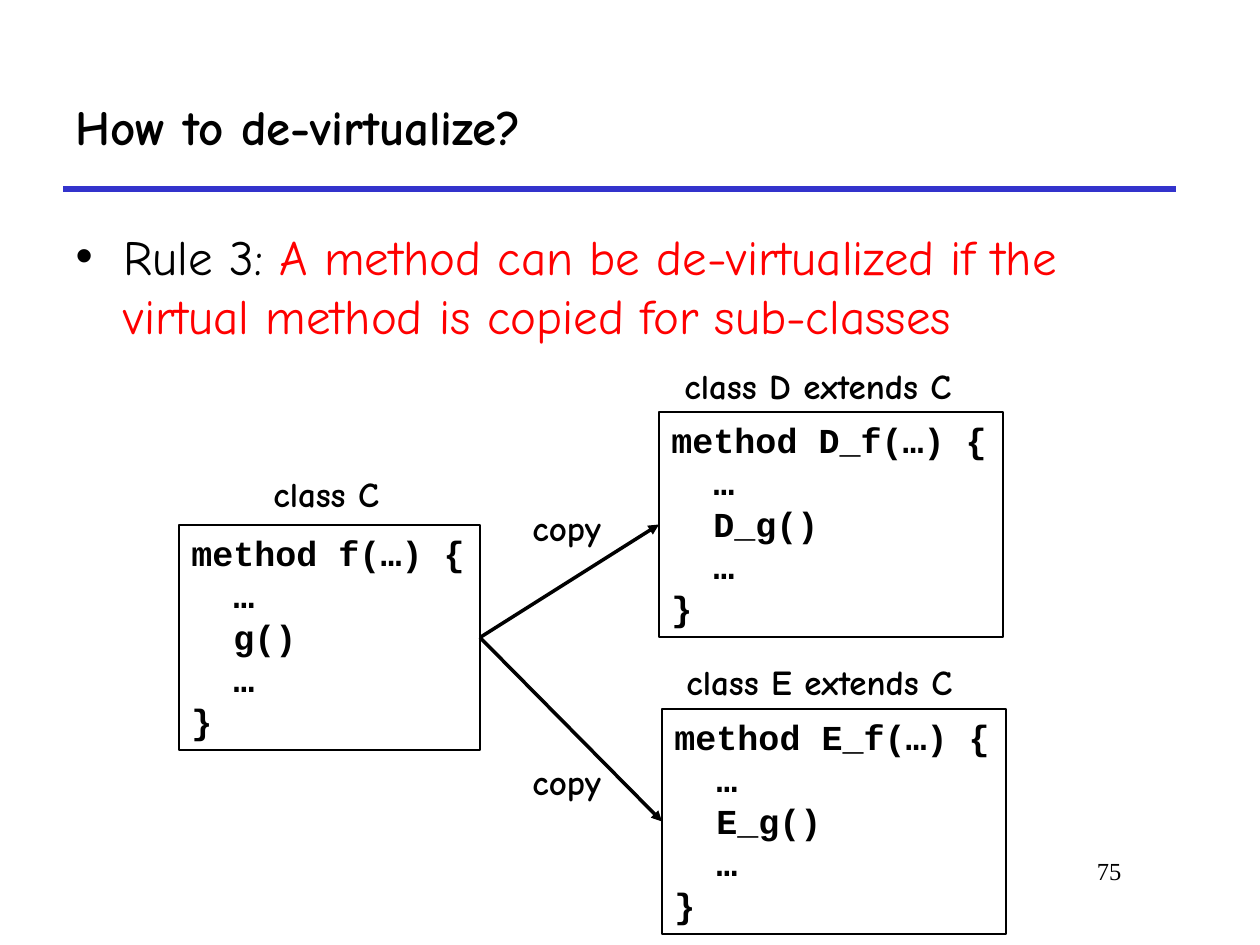
"""Builds the slide on de-virtualizing methods by copying them into sub-classes."""
from lxml.etree import SubElement
from pptx import Presentation
from pptx.dml.color import RGBColor
from pptx.enum.shapes import MSO_CONNECTOR as Connector, MSO_SHAPE as Shape
from pptx.enum.text import MSO_ANCHOR as Anchor, MSO_AUTO_SIZE as AutoSize, PP_ALIGN as Align
from pptx.oxml.ns import qn
from pptx.util import Emu, Pt

BLACK = RGBColor(0, 0, 0)
RED = RGBColor(255, 0, 0)
BLUE = RGBColor(0x33, 0x33, 0xCC)
HAND, CODE, SERIF = "Comic Neue", "Courier New", "Times New Roman"

TITLE = "How to de-virtualize?"
RULE = [
    ("Rule 3: ", BLACK),
    ("A method can be de-virtualized if the virtual method is copied for sub-classes", RED),
]
CLASSES = [
    ("class C", "", (179, 525, 301, 225), (261, 466, 137, 55)),
    ("class D extends C", "D_", (659, 412, 344, 225), (672, 358, 317, 55)),
    ("class E extends C", "E_", (662, 709, 344, 225), (674, 654, 314, 55)),
]
COPY_LABELS = [(520, 500, 100, 55), (520, 754, 100, 55)]
PAGE_NUMBER = "75"
CODE_INDENT = 42
BULLET_INDENT = 48


def px(length):
    return Emu(round(length * 914400 / 126))


def place(shape, area):
    shape.left, shape.top, shape.width, shape.height = map(px, area)


def add_run(para, text, size, font, color=BLACK, bold=False):
    span = para.add_run()
    span.text = text
    span.font.size, span.font.name, span.font.bold = Pt(size), font, bold
    span.font.color.rgb = color


def add_label(page, text, area, size=20, font=HAND, bold=True, align=Align.LEFT):
    box = page.shapes.add_textbox(*map(px, area))
    box.text_frame.word_wrap = False
    para = box.text_frame.paragraphs[0]
    para.alignment = align
    add_run(para, text, size, font, bold=bold)


def add_code_box(page, prefix, area):
    box = page.shapes.add_shape(Shape.RECTANGLE, *map(px, area))
    box.shadow.inherit = False
    box.fill.background()
    box.line.color.rgb = BLACK
    box.line.width = Pt(1)
    frame = box.text_frame
    frame.word_wrap = False
    frame.vertical_anchor = Anchor.TOP
    lines = [(f"method {prefix}f(…) {{", 0), ("…", 1), (f"{prefix}g()", 1), ("…", 1), ("}", 0)]
    for number, (text, level) in enumerate(lines):
        para = frame.add_paragraph() if number else frame.paragraphs[0]
        para.alignment = Align.LEFT
        para._p.get_or_add_pPr().set("marL", str(px(level * CODE_INDENT)))
        add_run(para, text, 20, CODE, bold=True)
    return box


def add_line(page, start, end, color, width):
    line = page.shapes.add_connector(Connector.STRAIGHT, *map(px, start + end))
    line.line.color.rgb = color
    line.line.width = Pt(width)
    SubElement(line._element.spPr, qn("a:effectLst"))
    return line


def add_copy_arrow(page, source, target):
    arrow = add_line(page, (0, 0), (0, 0), BLACK, 2)
    arrow.begin_connect(source, 3)
    arrow.end_connect(target, 1)
    SubElement(arrow.line._get_or_add_ln(), qn("a:tailEnd"), type="triangle")


def fill_title(title):
    place(title, (63, 63, 1113, 126))
    title.text_frame.vertical_anchor = Anchor.MIDDLE
    title.text_frame.auto_size = AutoSize.NONE
    para = title.text_frame.paragraphs[0]
    para.alignment = Align.LEFT
    add_run(para, TITLE, 28, HAND, bold=True)


def fill_body(body):
    place(body, (63, 220, 1144, 609))
    body.text_frame.auto_size = AutoSize.NONE
    para = body.text_frame.paragraphs[0]
    para.space_before = Pt(5.6)
    properties = para._p.get_or_add_pPr()
    properties.set("marL", str(px(BULLET_INDENT)))
    properties.set("indent", str(px(-BULLET_INDENT)))
    SubElement(properties, qn("a:buChar"), char="•")
    for text, color in RULE:
        add_run(para, text, 28, HAND, color)


def main():
    deck = Presentation()
    deck.slide_width, deck.slide_height = px(1260), px(945)
    page = deck.slides.add_slide(deck.slide_layouts[1])
    add_line(page, (63, 189), (1176, 189), BLUE, 3)
    fill_title(page.shapes.title)
    fill_body(page.placeholders[1])
    add_label(page, PAGE_NUMBER, (955, 850, 179, 63), 14, SERIF, False, Align.RIGHT)

    boxes = []
    for name, prefix, box_area, label_area in CLASSES:
        boxes.append(add_code_box(page, prefix, box_area))
        add_label(page, name, label_area)
    for target, area in zip(boxes[1:], COPY_LABELS):
        add_copy_arrow(page, boxes[0], target)
        add_label(page, "copy", area)
    deck.save("out.pptx")


if __name__ == "__main__":
    main()
